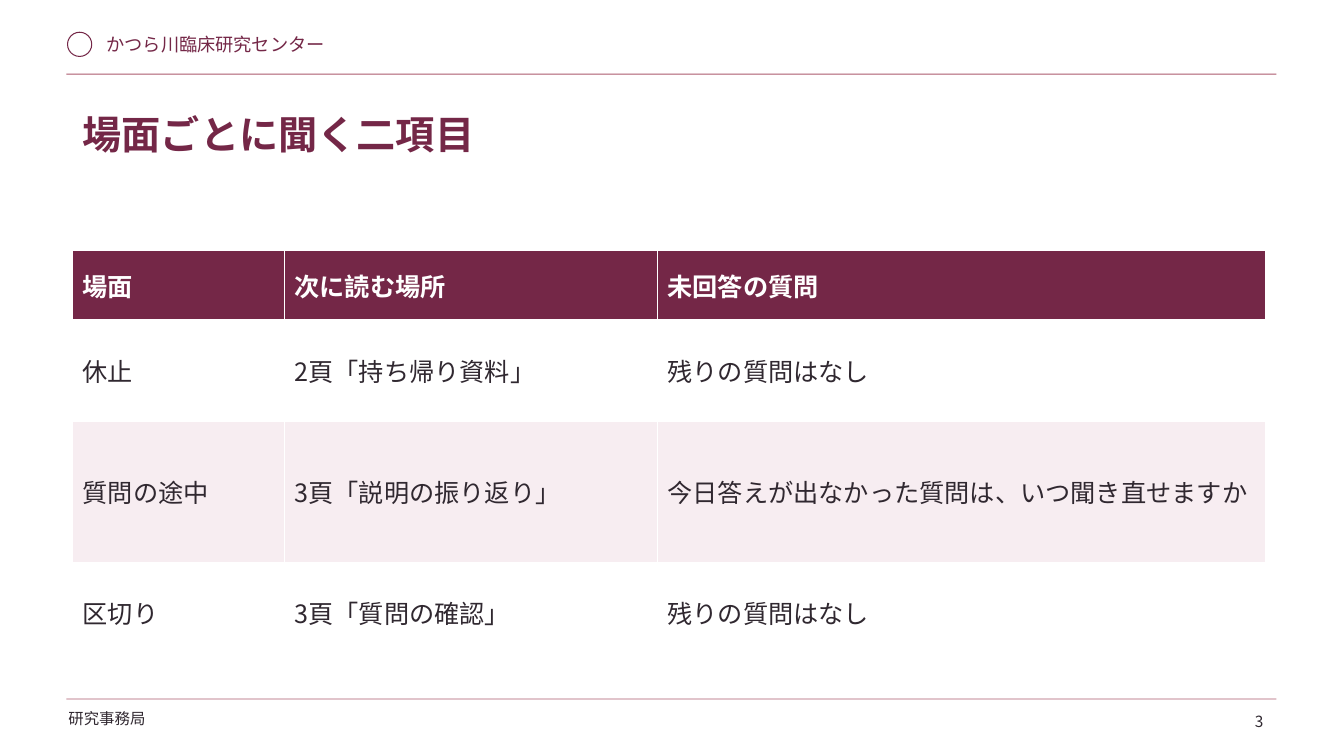
from lxml.etree import SubElement
from pptx import Presentation
from pptx.dml.color import RGBColor
from pptx.enum.shapes import MSO_SHAPE
from pptx.enum.text import MSO_ANCHOR, PP_ALIGN
from pptx.oxml import parse_xml
from pptx.oxml.ns import nsdecls, qn
from pptx.util import Inches, Pt

FONT = "Noto Sans CJK JP"
PLUM, ROSE, BLUSH, INK, WHITE = "742747", "AB586C", "F7EDF1", "302830", "FFFFFF"


def paint(hex_color):
    return RGBColor.from_string(hex_color)


def add_run(paragraph, text, size, color, bold=False):
    run = paragraph.add_run()
    run.text = text
    run.font.size = Pt(size)
    run.font.bold = bold
    run.font.color.rgb = paint(color)
    run.font.name = FONT
    SubElement(run.font._element, qn("a:ea")).set("typeface", FONT)


deck = Presentation()
deck.slide_width, deck.slide_height = Inches(13.33), Inches(7.5)
slide = deck.slides.add_slide(deck.slide_layouts[5])
shapes = slide.shapes

emblem = shapes.add_shape(MSO_SHAPE.OVAL, Inches(0.67), Inches(0.32), Inches(0.24), Inches(0.24))
emblem.shadow.inherit = False
emblem.fill.background()
emblem.line.color.rgb = paint(PLUM)
emblem.line.width = Pt(0.75)

for rule_top in (0.73, 6.93):
    rule = shapes.add_shape(MSO_SHAPE.RECTANGLE, Inches(0.66), Inches(rule_top), Inches(12), Inches(0.01))
    rule.shadow.inherit = False
    rule.fill.solid()
    rule.fill.fore_color.rgb = paint(ROSE)
    rule.line.fill.background()

heading = shapes.title
heading.left, heading.top = Inches(0.72), Inches(1.02)
heading.width, heading.height = Inches(11.9), Inches(1.23)
heading_frame = heading.text_frame
heading_frame.vertical_anchor = MSO_ANCHOR.TOP
heading_frame.margin_top, heading_frame.margin_bottom = Inches(0.07), Inches(0.04)
heading_frame.paragraphs[0].alignment = PP_ALIGN.LEFT
add_run(heading_frame.paragraphs[0], "場面ごとに聞く二項目", 28, PLUM, True)

margin_texts = [
    ("かつら川臨床研究センター", 0.96, 0.28, 3.3, 0.35, 13, PLUM, PP_ALIGN.LEFT, 0.05),
    ("研究事務局", 0.58, 6.99, 1.8, 0.36, 11, INK, PP_ALIGN.LEFT, 0.05),
    ("3", 12.08, 6.99, 0.55, 0.3, 11, INK, PP_ALIGN.RIGHT, 0.07),
]
for text, left, top, width, height, size, color, align, inset in margin_texts:
    label = shapes.add_textbox(Inches(left), Inches(top), Inches(width), Inches(height)).text_frame
    label.word_wrap = True
    label.margin_top = Inches(inset)
    label.paragraphs[0].alignment = align
    add_run(label.paragraphs[0], text, size, color)

scenes = [
    ("場面", "次に読む場所", "未回答の質問"),
    ("休止", "2頁「持ち帰り資料」", "残りの質問はなし"),
    ("質問の途中", "3頁「説明の振り返り」", "今日答えが出なかった質問は、いつ聞き直せますか"),
    ("区切り", "3頁「質問の確認」", "残りの質問はなし"),
]
column_widths = (2.1, 3.7, 6.03)
row_heights = (0.7, 1, 1.4, 1)
row_fills = (PLUM, WHITE, BLUSH, WHITE)

scene_table = shapes.add_table(
    len(scenes), len(column_widths), Inches(0.72), Inches(2.48),
    Inches(sum(column_widths)), Inches(sum(row_heights)),
).table
for column, width in zip(scene_table.columns, column_widths):
    column.width = Inches(width)

for row_index, (row, height, fill) in enumerate(zip(scene_table.rows, row_heights, row_fills)):
    row.height = Inches(height)
    is_header = row_index == 0
    for cell, text in zip(row.cells, scenes[row_index]):
        cell.vertical_anchor = MSO_ANCHOR.MIDDLE
        cell.fill.solid()
        cell.fill.fore_color.rgb = paint(fill)
        add_run(cell.text_frame.paragraphs[0], text, 18, WHITE if is_header else INK, is_header)
        for order, side in enumerate("LRTB"):
            under_header = (row_index, side) in ((0, "B"), (1, "T"))
            border = parse_xml(
                f'<a:ln{side} {nsdecls("a")} w="{Pt(3 if under_header else 1)}">'
                f'<a:solidFill><a:srgbClr val="{WHITE}"/></a:solidFill></a:ln{side}>'
            )
            cell._tc.get_or_add_tcPr().insert(order, border)

deck.save("out.pptx")
